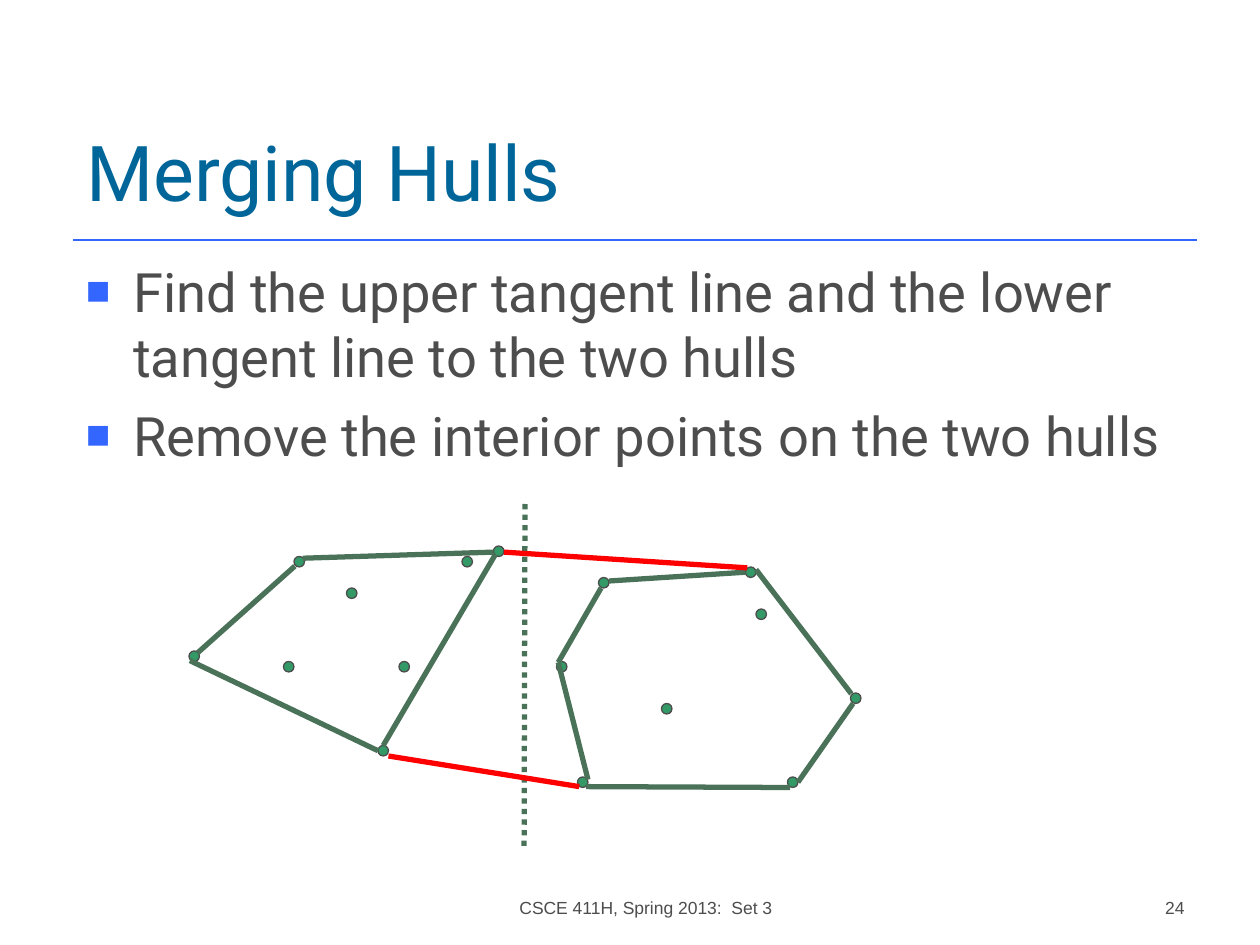
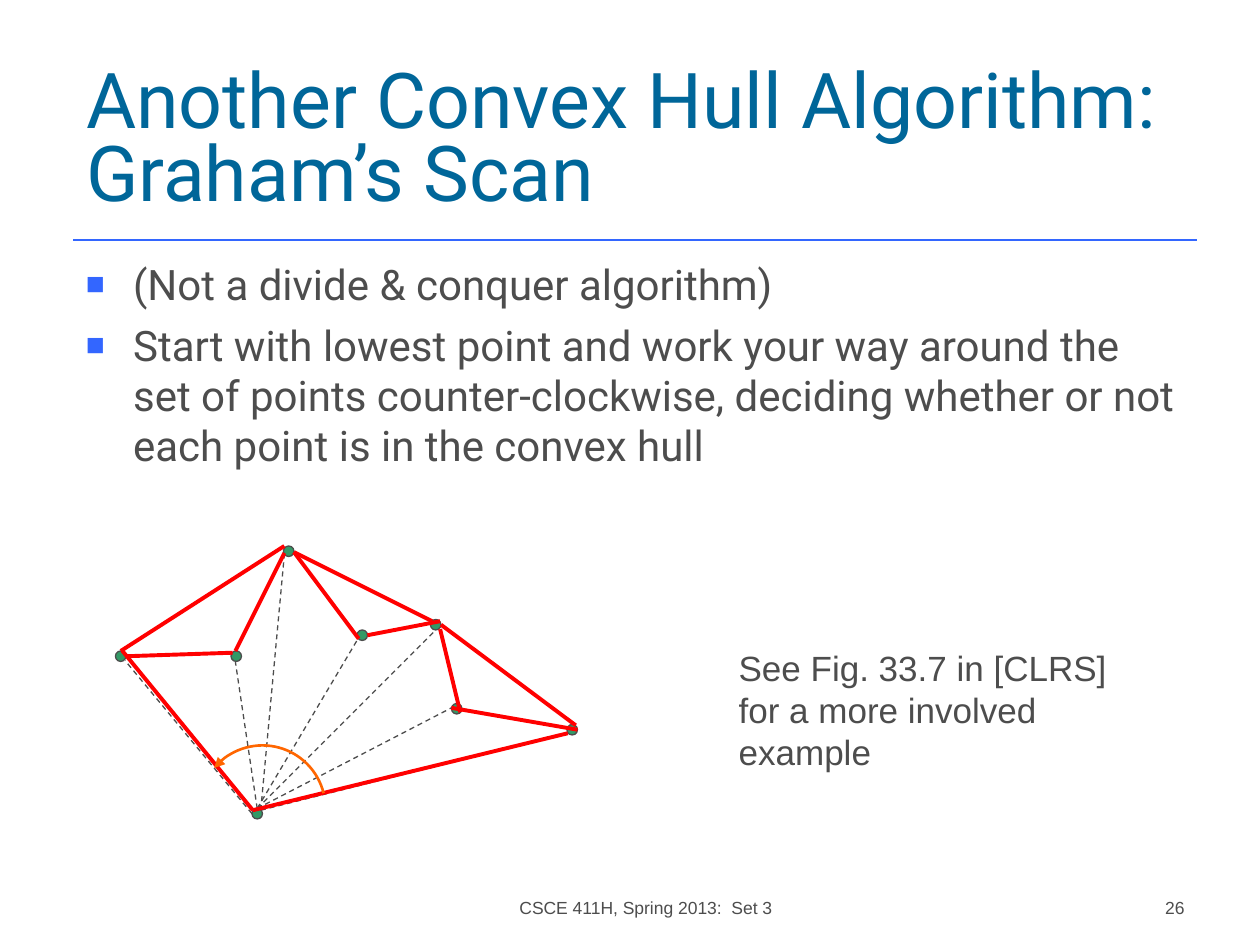
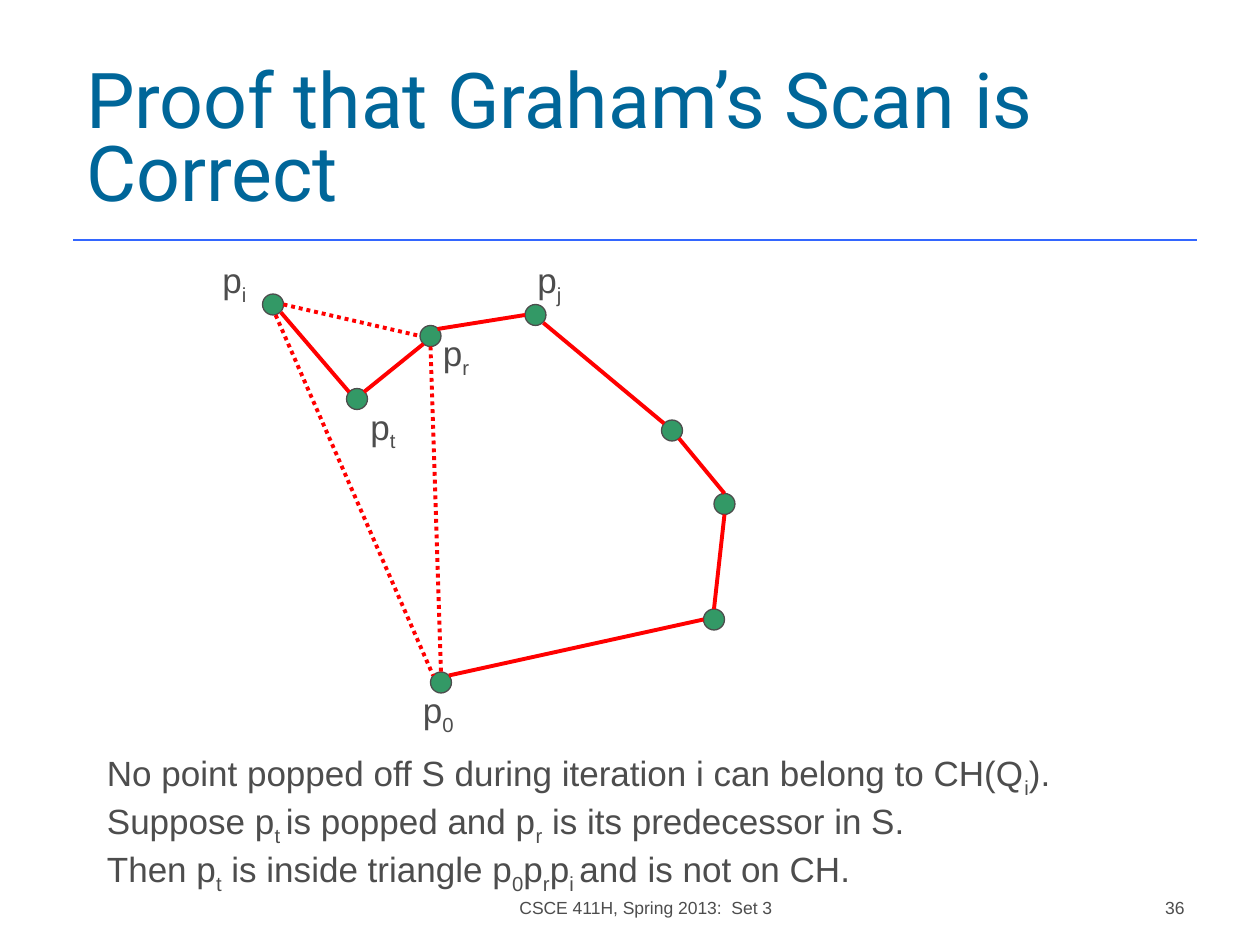
from lxml import etree
from pptx import Presentation
from pptx.dml.color import RGBColor
from pptx.enum.dml import MSO_LINE
from pptx.enum.shapes import MSO_CONNECTOR, MSO_SHAPE
from pptx.enum.text import MSO_ANCHOR, MSO_AUTO_SIZE, PP_ALIGN
from pptx.oxml.ns import qn
from pptx.util import Pt

TITLE_BLUE = RGBColor(0x00, 0x66, 0x99)
ACCENT_BLUE = RGBColor(0x33, 0x66, 0xFF)
TEXT_GREY = RGBColor(0x4D, 0x4D, 0x4D)
POINT_GREEN = RGBColor(0x33, 0x99, 0x66)
HULL_GREEN = RGBColor(0x4A, 0x72, 0x59)
RED = RGBColor(0xFF, 0x00, 0x00)
ORANGE = RGBColor(0xFF, 0x66, 0x00)

HEADING = "Roboto"
PLAIN = "Arial"
FOOTER = "CSCE 411H, Spring 2013:  Set 3"

TITLE_BOX = (42, 37.5, 642, 90)
BODY_BOX = (42, 144, 642, 318)
FOOTER_BOX = (255, 492, 228, 36)
NUMBER_BOX = (534, 492, 150, 36)
RULE_Y = 137


def set_font(para, name, size, color):
    para.font.name = name
    para.font.size = Pt(size)
    para.font.color.rgb = color


def add_child(parent, tag, **attributes):
    return etree.SubElement(parent, qn(tag), attributes)


def add_text(page, box, lines, size=20, name=PLAIN, wrap=True,
             anchor=MSO_ANCHOR.TOP, align=PP_ALIGN.LEFT):
    frame = page.shapes.add_textbox(*map(Pt, box)).text_frame
    frame.word_wrap = wrap
    frame.vertical_anchor = anchor
    for index, line in enumerate(lines):
        para = frame.paragraphs[0] if index == 0 else frame.add_paragraph()
        for position, part in enumerate(line.split("|")):
            span = para.add_run()
            span.text = part
            if position % 2:
                span._r.get_or_add_rPr().set("baseline", "-25000")
        para.alignment = align
        set_font(para, name, size, TEXT_GREY)
    return frame


def add_bullets(page, box, lines, size):
    frame = add_text(page, box, lines, size, HEADING)
    for index, para in enumerate(frame.paragraphs):
        props = para._p.get_or_add_pPr()
        props.set("marL", str(Pt(27)))
        props.set("indent", str(-Pt(27)))
        default_font = props.find(qn("a:defRPr"))
        props.remove(default_font)
        add_child(add_child(props, "a:buClr"), "a:srgbClr", val=str(ACCENT_BLUE))
        add_child(props, "a:buSzPct", val="75000")
        add_child(props, "a:buFont", typeface=PLAIN)
        add_child(props, "a:buChar", char="■")
        props.append(default_font)
        if index:
            para.space_before = Pt(size / 4)


def add_line(page, start, end, color, width, dash=None):
    ends = [Pt(value) for value in (*start, *end)]
    connector = page.shapes.add_connector(MSO_CONNECTOR.STRAIGHT, *ends)
    connector.line.color.rgb = color
    connector.line.width = Pt(width)
    if dash:
        connector.line.dash_style = dash
    add_child(connector._element.spPr, "a:effectLst")


def add_lines(page, origin, segments, color, width, dash=None):
    left, top = origin
    for x1, y1, x2, y2 in segments:
        add_line(page, (left + x1, top + y1), (left + x2, top + y2),
                 color, width, dash)


def add_dots(page, origin, corners, size):
    for x, y in corners:
        dot = page.shapes.add_shape(MSO_SHAPE.OVAL, Pt(origin[0] + x),
                                    Pt(origin[1] + y), Pt(size), Pt(size))
        dot.shadow.inherit = False
        dot.fill.solid()
        dot.fill.fore_color.rgb = POINT_GREEN
        dot.line.color.rgb = TEXT_GREY
        dot.line.width = Pt(0.75)


def add_sweep_arrow(page, box):
    arc = page.shapes.add_shape(MSO_SHAPE.ARC, *map(Pt, box))
    arc.shadow.inherit = False
    for index, degrees in enumerate((220, 346)):
        arc.adjustments[index] = degrees * 0.6
    arc.fill.background()
    arc.line.color.rgb = ORANGE
    arc.line.width = Pt(1.5)
    add_child(arc.line._get_or_add_ln(), "a:headEnd", type="triangle")


def add_page(deck, title, number):
    page = deck.slides.add_slide(deck.slide_layouts[5])
    left, _, width, _ = TITLE_BOX
    add_line(page, (left, RULE_Y), (left + width, RULE_Y), ACCENT_BLUE, 1)
    holder = page.shapes.title
    holder.left, holder.top, holder.width, holder.height = map(Pt, TITLE_BOX)
    frame = holder.text_frame
    frame.text = title
    frame.word_wrap = True
    frame.auto_size = MSO_AUTO_SIZE.NONE
    frame.vertical_anchor = MSO_ANCHOR.BOTTOM
    para = frame.paragraphs[0]
    para.alignment = PP_ALIGN.LEFT
    para.line_spacing = 0.8
    set_font(para, HEADING, 44, TITLE_BLUE)
    add_text(page, FOOTER_BOX, [FOOTER], 10, anchor=MSO_ANCHOR.BOTTOM,
             align=PP_ALIGN.CENTER)
    add_text(page, NUMBER_BOX, [str(number)], 10, anchor=MSO_ANCHOR.BOTTOM,
             align=PP_ALIGN.RIGHT)
    return page


def draw_merged_hulls(page, origin):
    add_dots(page, origin, [
        (60, 30), (318, 36), (156, 30), (0, 84), (54, 90), (120, 90),
        (108, 138), (234, 42), (342, 156), (324, 60), (210, 90), (222, 156),
        (270, 114), (378, 108), (174, 24), (90, 48)], 6)
    divider = [(192, 0, 191.5, 198)]
    left_hull = [(60.5, 35.5, 5, 85), (174, 27.5, 65, 31),
                 (175, 29, 111, 138), (108, 141, 0.5, 89.5)]
    right_hull = [(318, 39, 240, 44), (378.5, 108.5, 324, 37.5),
                  (379.5, 114, 348, 159), (343.5, 162, 227, 161.5),
                  (211, 90.5, 228, 157.5), (235.5, 48, 211, 90.5)]
    tangents = [(319, 36.5, 180, 27.5), (223, 161.5, 114, 144)]
    add_lines(page, origin, divider, HULL_GREEN, 3, MSO_LINE.ROUND_DOT)
    add_lines(page, origin, left_hull + right_hull, HULL_GREEN, 3)
    add_lines(page, origin, tangents, RED, 3)


def draw_scan(page, origin):
    left, top = origin
    add_dots(page, origin, [(78, 150), (258, 102), (192, 90), (180, 42),
                            (138, 48), (96, 0), (66, 60), (0, 60)], 6)
    rays = [(83, 151, 258.5, 107), (81, 150, 192, 92.5), (81, 150, 183, 48),
            (81, 150, 138, 54), (83, 151, 96.5, 5), (81, 150, 68.5, 66),
            (78, 153, 5.5, 65.5)]
    steps = [(78.5, 151, 258.5, 107), (192, 92.5, 264, 105),
             (185.5, 47.5, 197, 95), (186, 45, 263, 102.5),
             (144, 51, 185.5, 43), (139, 53, 102, 3.5), (181, 43, 102, 3.5),
             (96.5, 4, 68.5, 60), (67, 61, 6, 63), (96.5, 0, 3, 60),
             (4, 60, 78.5, 151)]
    add_lines(page, origin, rays, TEXT_GREY, 0.75, MSO_LINE.DASH)
    add_lines(page, origin, steps, RED, 2.25)
    add_sweep_arrow(page, (left + 48, top + 114, 72, 72))


def draw_proof(page, origin):
    left, top = origin
    add_dots(page, origin, [(126, 240), (282, 204), (180, 30), (258, 96),
                            (288, 138), (30, 24), (120, 42), (78, 78)], 12)
    hull = [(136.5, 242, 282, 210), (288, 204, 294, 150),
            (294, 138, 268, 106.5), (259.5, 98, 190.5, 40.5),
            (130, 44, 180, 36), (88, 80, 122, 52.5), (79.5, 80, 40.5, 34.5)]
    triangle = [(37.5, 36, 127.5, 242), (126, 54, 132, 240), (42, 30, 120, 48)]
    add_lines(page, origin, hull, RED, 2.25)
    add_lines(page, origin, triangle, RED, 2.25, MSO_LINE.ROUND_DOT)
    labels = [("j", 180, 0, 28), ("i", 0, 0, 28), ("0", 114.5, 246, 32),
              ("t", 84.5, 84, 29), ("r", 126, 42, 30)]
    for index, x, y, width in labels:
        add_text(page, (left + x, top + y, width, 34.5), [f"p|{index}"],
                 wrap=False)


def main():
    deck = Presentation()
    deck.slide_width, deck.slide_height = Pt(720), Pt(540)

    page = add_page(deck, "Merging Hulls", 24)
    add_bullets(page, BODY_BOX, [
        "Find the upper tangent line and the lower tangent line to the two hulls",
        "Remove the interior points on the two hulls"], 31)
    draw_merged_hulls(page, (108, 288))

    page = add_page(deck, "Another Convex Hull Algorithm:  Graham’s Scan", 26)
    add_bullets(page, BODY_BOX, [
        "(Not a divide & conquer algorithm)",
        "Start with lowest point and work your way around the set of points "
        "counter-clockwise, deciding whether or not each point is in the "
        "convex hull"], 24)
    draw_scan(page, (66, 312))
    add_text(page, (415, 366, 225, 79), [
        "See Fig. 33.7 in [CLRS]", "for a more involved", "example"], wrap=False)

    page = add_page(deck, "Proof that Graham’s Scan is Correct", 36)
    draw_proof(page, (120, 144))
    add_text(page, (54, 426, 636, 89), [
        "No point popped off S during iteration i can belong to CH(Q|i|).",
        "Suppose p|t |is popped and p|r| is its predecessor in S.",
        "Then p|t| is inside triangle p|0|p|r|p|i |and is not on CH."])

    deck.save("out.pptx")


if __name__ == "__main__":
    main()
